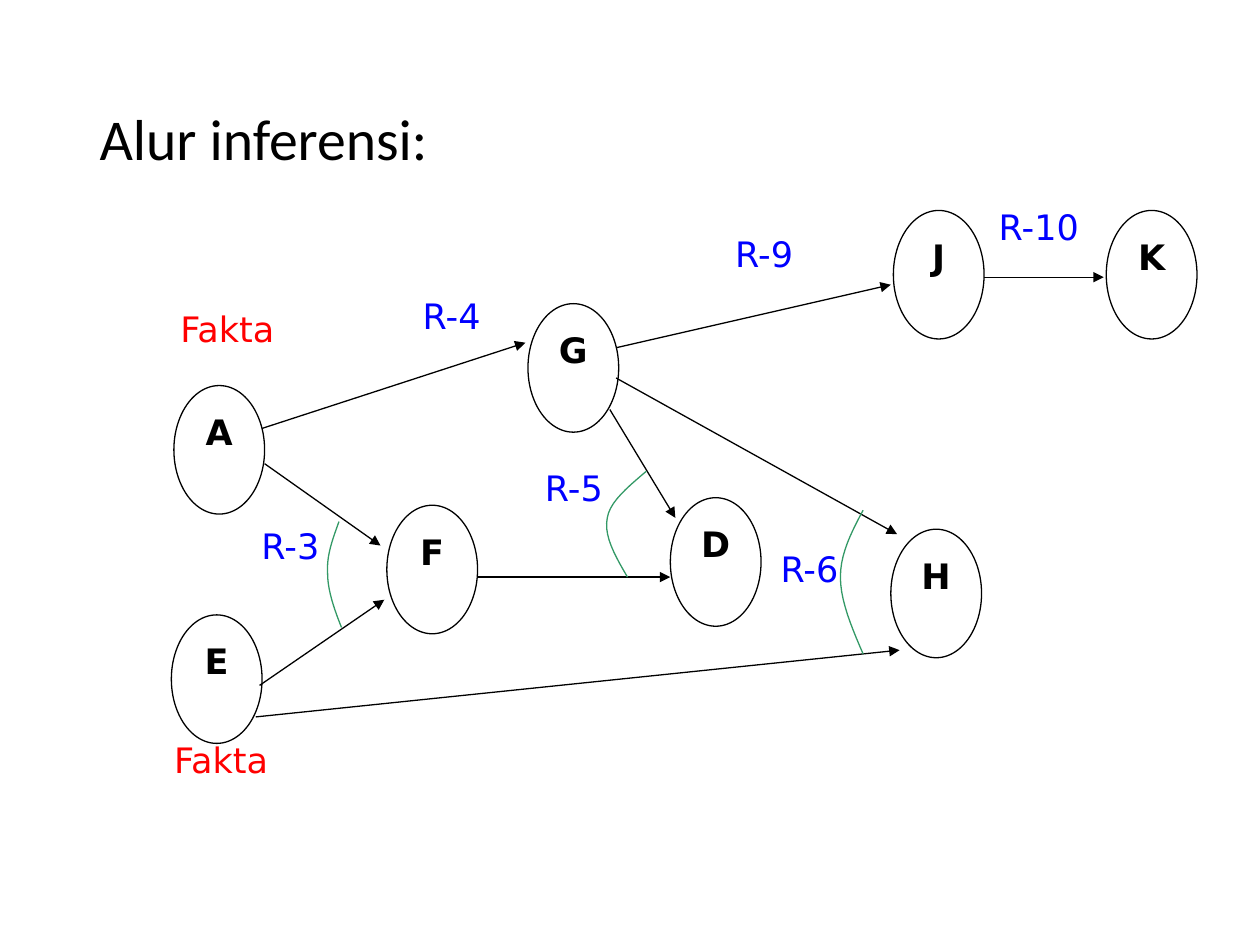
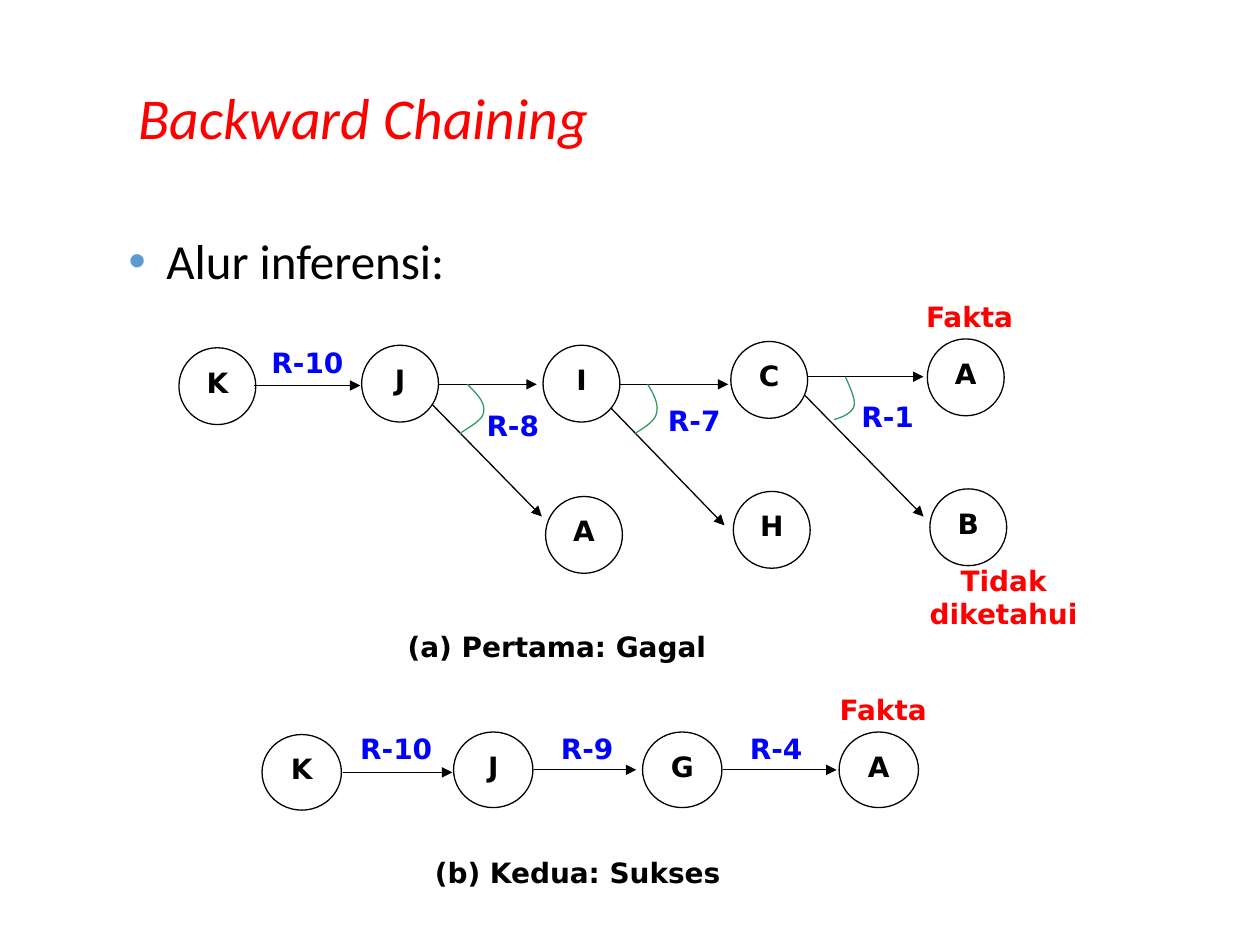
from dataclasses import dataclass

from lxml.etree import SubElement
from pptx import Presentation
from pptx.dml.color import RGBColor
from pptx.enum.shapes import MSO_CONNECTOR, MSO_SHAPE
from pptx.enum.text import MSO_ANCHOR, PP_ALIGN
from pptx.oxml.ns import qn
from pptx.util import Inches, Pt


@dataclass(frozen=True)
class Theme:
    ink: str = "000000"
    paper: str = "FFFFFF"
    fact: str = "FF0000"
    rule: str = "0000FF"
    arc: str = "339966"
    bullet: str = "5B9BD5"
    head_font: str = "Calibri"
    node_font: str = "DejaVu Sans"
    title: int = 33
    body: int = 28
    large: int = 20
    small: int = 16
    stroke: float = 0.75


THEME = Theme()


def color(code):
    return RGBColor.from_string(code)


def style(para, font, size, code, bold=False, italic=False):
    face = para.font
    face.name, face.size = font, Pt(size)
    face.bold, face.italic = bold, italic
    face.color.rgb = color(code)


def place(shape, box):
    shape.left, shape.top, shape.width, shape.height = map(Inches, box)


def bezier(start, one, two, end, steps=10):
    """Return the points of a cubic curve that follow its start."""
    points = []
    for step in range(1, steps + 1):
        t = step / steps
        u = 1 - t
        points.append(tuple(
            u**3 * a + 3 * u * u * t * b + 3 * u * t * t * c + t**3 * d
            for a, b, c, d in zip(start, one, two, end)))
    return points


class Graph:
    """A grouped diagram whose parts are measured from its top left corner."""

    def __init__(self, slide, left, top, node, size, bold):
        self.shapes = slide.shapes.add_group_shape().shapes
        self.left, self.top = left, top
        self.wide, self.high = node
        self.size, self.bold = size, bold

    def spot(self, x, y):
        return Inches(self.left + x), Inches(self.top + y)

    def set_text(self, shape, text, code, bold):
        frame = shape.text_frame
        frame.word_wrap = True
        frame.vertical_anchor = MSO_ANCHOR.TOP
        para = frame.paragraphs[0]
        para.text = text
        para.alignment = PP_ALIGN.CENTER
        style(para, THEME.node_font, self.size, code, bold)
        return frame

    def stroke(self, shape, code):
        shape.line.color.rgb = color(code)
        shape.line.width = Pt(THEME.stroke)

    def node(self, name, x, y):
        oval = self.shapes.add_shape(
            MSO_SHAPE.OVAL, *self.spot(x, y), Inches(self.wide), Inches(self.high))
        oval.shadow.inherit = False
        oval.fill.solid()
        oval.fill.fore_color.rgb = color(THEME.paper)
        self.stroke(oval, THEME.ink)
        frame = self.set_text(oval, name, THEME.ink, True)
        frame.margin_left = frame.margin_right = Inches(0.06)

    def arrow(self, x1, y1, x2, y2):
        line = self.shapes.add_connector(
            MSO_CONNECTOR.STRAIGHT, *self.spot(x1, y1), *self.spot(x2, y2))
        self.stroke(line, THEME.ink)
        props = line._element.spPr
        SubElement(props.find(qn("a:ln")), qn("a:tailEnd"), type="triangle")
        SubElement(props, qn("a:effectLst"))

    def arc(self, *knots):
        """Draw two joined cubic curves through seven knots."""
        points = bezier(*knots[:4]) + bezier(*knots[3:])
        pen = self.shapes.build_freeform(*self.spot(*knots[0]))
        pen.add_line_segments([self.spot(*p) for p in points], close=False)
        curve = pen.convert_to_shape()
        curve.shadow.inherit = False
        curve.fill.background()
        self.stroke(curve, THEME.arc)

    def label(self, text, x, y, wide, high, code):
        box = self.shapes.add_textbox(
            *self.spot(x, y), Inches(wide), Inches(high))
        self.set_text(box, text, code, self.bold)

    def draw(self, nodes, arrows, arcs=()):
        for node in nodes:
            self.node(*node)
        for arrow in arrows:
            self.arrow(*arrow)
        for arc in arcs:
            self.arc(*arc)


def add_title(slide, text, box, code, italic=False):
    title = slide.shapes.title
    place(title, box)
    title.text_frame.vertical_anchor = MSO_ANCHOR.MIDDLE
    para = title.text_frame.paragraphs[0]
    para.text = text
    para.alignment = PP_ALIGN.LEFT
    para.line_spacing = 0.9
    style(para, THEME.head_font, THEME.title, code, italic=italic)


def add_body(slide, text, box):
    body = slide.placeholders[1]
    place(body, box)
    para = body.text_frame.paragraphs[0]
    para.text = text
    para.line_spacing = 0.9
    para.space_before = Pt(0)
    props = para._p.get_or_add_pPr()
    props.set("marL", str(Inches(0.3)))
    props.set("indent", str(Inches(-0.3)))
    tint = SubElement(props, qn("a:buClr"))
    SubElement(tint, qn("a:srgbClr"), val=THEME.bullet)
    SubElement(props, qn("a:buFont"), typeface="Arial")
    SubElement(props, qn("a:buChar"), char="•")
    style(para, THEME.head_font, THEME.body, THEME.ink)


def forward_graph(slide, left, top):
    graph = Graph(slide, left, top, (0.72, 1.02), THEME.large, False)
    graph.draw(
        nodes=[("A", 0.38, 1.56), ("E", 0.36, 3.38), ("F", 2.07, 2.51),
               ("G", 3.19, 0.91), ("D", 4.32, 2.45), ("H", 6.07, 2.7),
               ("J", 6.09, 0.17), ("K", 7.78, 0.17)],
        arrows=[(1.1, 2.18, 2.02, 2.83), (1.06, 3.94, 2.05, 3.26),
                (1.08, 1.9, 3.17, 1.22), (3.84, 1.75, 4.36, 2.61),
                (2.79, 3.08, 4.32, 3.08), (3.89, 1.5, 6.12, 2.74),
                (1.03, 4.19, 6.14, 3.66), (3.89, 1.26, 6.07, 0.76),
                (6.81, 0.7, 7.76, 0.7)],
        arcs=[((1.69, 2.64), (1.64, 2.78), (1.59, 2.91), (1.6, 3.05),
               (1.6, 3.18), (1.65, 3.33), (1.71, 3.48)),
              ((4.13, 2.24), (3.99, 2.36), (3.84, 2.48), (3.82, 2.61),
               (3.79, 2.75), (3.88, 2.91), (3.98, 3.08)),
              ((5.85, 2.55), (5.76, 2.72), (5.67, 2.89), (5.67, 3.08),
               (5.67, 3.27), (5.76, 3.48), (5.85, 3.69))])
    for x, y in [(0.05, 0.89), (0, 4.31)]:
        graph.label("Fakta", x, y, 1.51, 0.77, THEME.fact)
    for name, x, y in [("R-3", 0.74, 2.61), ("R-4", 2.02, 0.79),
                       ("R-5", 2.99, 2.15), ("R-6", 4.86, 2.8),
                       ("R-9", 4.5, 0.3), ("R-10", 6.68, 0.08)]:
        graph.label(name, x, y, 1.13, 0.77, THEME.rule)


def failed_graph(slide, left, top):
    graph = Graph(slide, left, top, (0.61, 0.61), THEME.small, True)
    graph.draw(
        nodes=[("K", 0.02, 0.46), ("J", 1.47, 0.44), ("I", 2.91, 0.44),
               ("C", 4.4, 0.41), ("A", 5.96, 0.39), ("A", 2.93, 1.64),
               ("H", 4.42, 1.6), ("B", 5.98, 1.58)],
        arrows=[(0.62, 0.76, 1.46, 0.76), (2.08, 0.75, 2.86, 0.75),
                (3.52, 0.75, 4.38, 0.75), (5.01, 0.69, 5.93, 0.69),
                (2.03, 0.91, 2.9, 1.8), (3.45, 0.94, 4.35, 1.87),
                (4.99, 0.84, 5.93, 1.8)],
        arcs=[((2.31, 0.75), (2.38, 0.82), (2.45, 0.89), (2.44, 0.96),
               (2.44, 1.03), (2.34, 1.08), (2.25, 1.14)),
              ((3.74, 0.75), (3.79, 0.83), (3.83, 0.91), (3.81, 0.98),
               (3.8, 1.04), (3.72, 1.09), (3.64, 1.14)),
              ((5.31, 0.69), (5.35, 0.78), (5.39, 0.87), (5.38, 0.92),
               (5.36, 0.98), (5.29, 1.01), (5.22, 1.03))])
    for name, x, y, wide in [("R-10", 0.64, 0.39, 0.8), ("R-8", 2.3, 0.89, 0.74),
                             ("R-7", 3.74, 0.85, 0.74), ("R-1", 5.27, 0.82, 0.75)]:
        graph.label(name, x, y, wide, 0.46, THEME.rule)
    graph.label("Fakta", 5.75, 0.03, 1.09, 0.46, THEME.fact)
    graph.label("Tidak diketahui", 5.69, 2.12, 1.75, 0.66, THEME.fact)
    graph.label("(a) Pertama: Gagal", 1.51, 2.65, 3.02, 0.46, THEME.ink)


def solved_graph(slide, left, top):
    graph = Graph(slide, left, top, (0.63, 0.6), THEME.small, True)
    graph.draw(
        nodes=[("K", 0.08, 0.43), ("J", 1.6, 0.41),
               ("G", 3.1, 0.41), ("A", 4.66, 0.41)],
        arrows=[(0.72, 0.73, 1.59, 0.73), (2.24, 0.71, 3.05, 0.71),
                (3.74, 0.71, 4.64, 0.71)])
    for name, x, wide in [("R-10", 0.73, 0.83), ("R-9", 2.27, 0.78),
                          ("R-4", 3.77, 0.78)]:
        graph.label(name, x, 0.36, wide, 0.46, THEME.rule)
    graph.label("Fakta", 4.44, 0.05, 1.14, 0.46, THEME.fact)
    graph.label("(b) Kedua: Sukses", 1.01, 1.34, 3.15, 0.46, THEME.ink)


def forward_slide(deck):
    slide = deck.slides.add_slide(deck.slide_layouts[5])
    add_title(slide, "Alur inferensi:", (0.69, 0.4, 8.62, 1.45), THEME.ink)
    forward_graph(slide, 1, 1.5)


def backward_slide(deck):
    slide = deck.slides.add_slide(deck.slide_layouts[1])
    add_title(slide, "Backward Chaining", (1, 0.33, 8.5, 1.25), THEME.fact, True)
    add_body(slide, "Alur inferensi:", (0.92, 1.83, 8.5, 5))
    failed_graph(slide, 1.4, 2.3)
    solved_graph(slide, 2, 5.4)


def main():
    deck = Presentation()
    deck.slide_width, deck.slide_height = Inches(10), Inches(7.5)
    forward_slide(deck)
    backward_slide(deck)
    deck.save("out.pptx")


if __name__ == "__main__":
    main()
